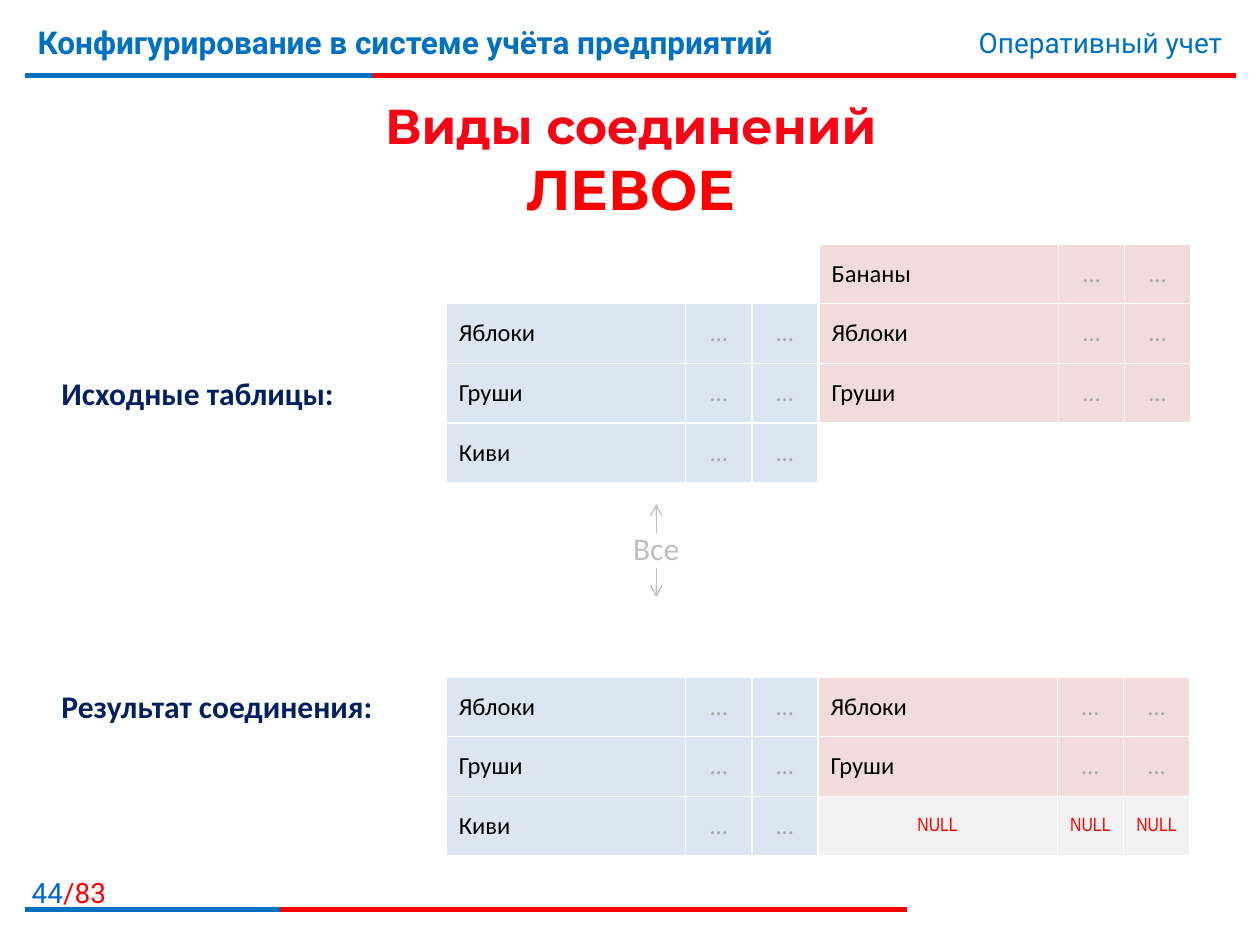
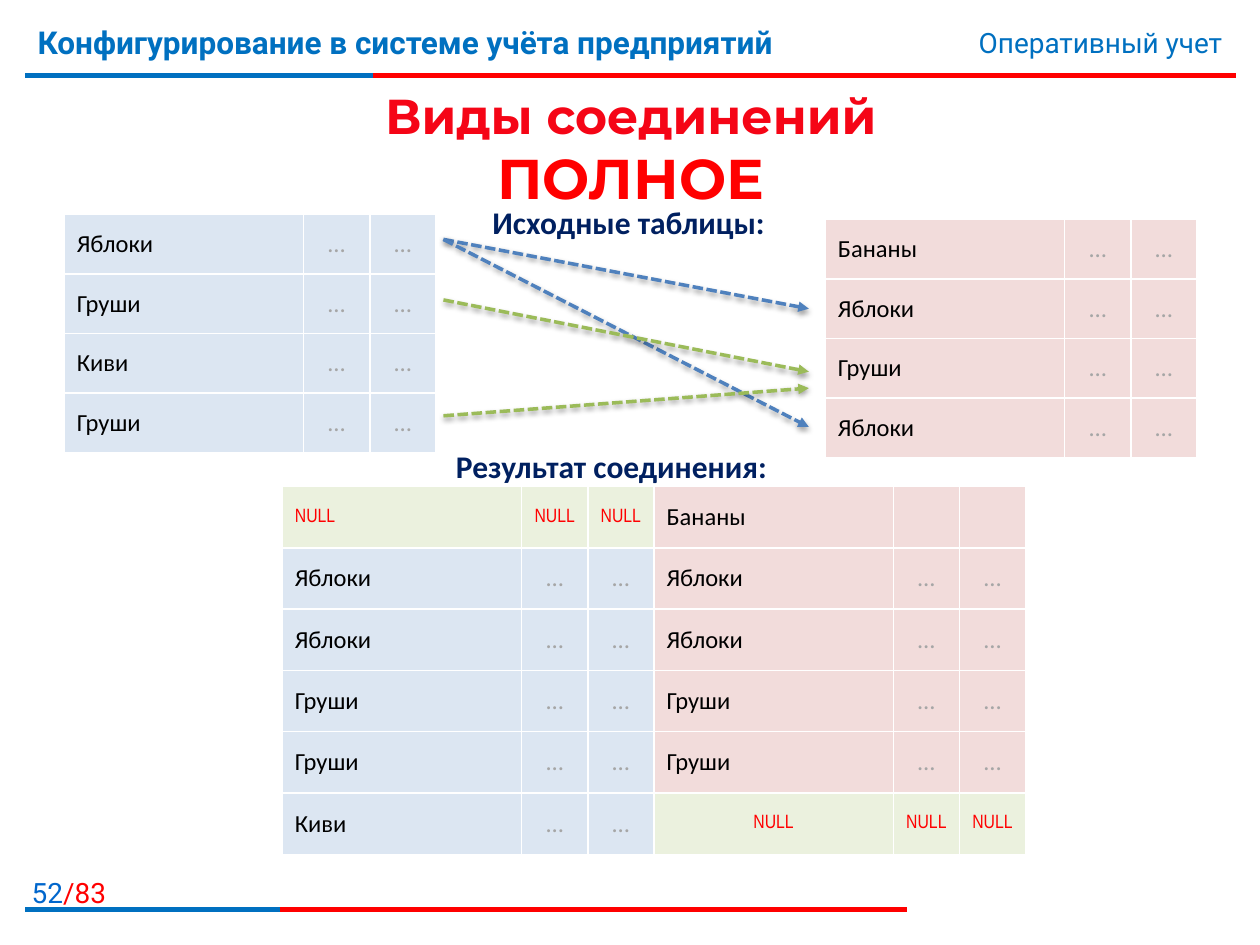
"""Build two slides on left and full table joins."""
from lxml.etree import SubElement
from pptx import Presentation
from pptx.dml.color import RGBColor
from pptx.enum.dml import MSO_LINE
from pptx.enum.shapes import MSO_CONNECTOR
from pptx.enum.text import MSO_ANCHOR, MSO_AUTO_SIZE, PP_ALIGN
from pptx.oxml import parse_xml
from pptx.oxml.ns import nsdecls, qn
from pptx.util import Pt

hue = RGBColor.from_string
LEFT, MID, RIGHT = PP_ALIGN.LEFT, PP_ALIGN.CENTER, PP_ALIGN.RIGHT
BLUE, RED, NAVY, GRAY = "0070C0", "FF0000", "002060", "BFBFBF"
SKY, ROSE, LIME, PALE = "DCE6F2", "F2DCDB", "EBF1DE", "F2F2F2"
EDGE = ('<a:{} {} w="12700"><a:solidFill><a:srgbClr val="FFFFFF"/>'
        '</a:solidFill></a:{}>')
SHADE = ('<a:outerShdw {} blurRad="40000" dist="20000" dir="5400000" rotWithShape="0">'
         '<a:srgbClr val="000000"><a:alpha val="38000"/></a:srgbClr></a:outerShdw>')


def label(slide, box, parts, size, font="Calibri", align=LEFT, bold=False, wrap=False):
    """Add a text box whose parts are (text, colour) pairs."""
    frame = slide.shapes.add_textbox(*map(Pt, box)).text_frame
    frame.word_wrap = wrap
    para = frame.paragraphs[0]
    para.alignment = align
    for text, color in parts:
        run = para.add_run()
        run.text = text
        run.font.name, run.font.size, run.font.bold = font, Pt(size), bold
        run.font.color.rgb = hue(color)


def line(slide, ends, color, width, head=None, dash=False):
    """Add a straight line; a dashed one casts a shadow."""
    link = slide.shapes.add_connector(MSO_CONNECTOR.STRAIGHT, *map(Pt, ends))
    link.line.color.rgb = hue(color)
    link.line.width = Pt(width)
    if dash:
        link.line.dash_style = MSO_LINE.SQUARE_DOT
    if head:
        SubElement(link.line._get_or_add_ln(), qn("a:tailEnd")).set("type", head)
    glow = SubElement(link._element.spPr, qn("a:effectLst"))
    if dash:
        glow.append(parse_xml(SHADE.format(nsdecls("a"))))


pages = [
    {"num": "44", "kind": "ЛЕВОЕ", "top": 45.4, "high": 90, "void": PALE,
     "grids": [
         (255, 173.5, 34.1, [SKY], ["Яблоки", "Груши", "Киви"]),
         (468, 139.5, 34.1, [ROSE], ["Бананы", "Яблоки", "Груши"]),
         (255, 352.8, 34.1, [SKY, ROSE],
          ["|", "Яблоки|Яблоки", "Груши|Груши", "Киви|NULL"])],
     "heads": [(28, 210.2), (28, 388.8)]},
    {"num": "52", "kind": "ПОЛНОЕ", "top": 43.2, "high": 82.8, "void": LIME,
     "grids": [
         (36.7, 122.4, 34.1, [SKY], ["Яблоки", "Груши", "Киви", "Груши"]),
         (471.6, 125.3, 34.1, [ROSE], ["Бананы", "Яблоки", "Груши", "Яблоки"]),
         (161.3, 278, 35.04, [SKY, ROSE],
          ["NULL|Бананы", "Яблоки|Яблоки", "Яблоки|Яблоки", "Груши|Груши",
           "Груши|Груши", "Киви|NULL"])],
     "heads": [(274.3, 112.3), (253.4, 252)]},
]

deck = Presentation()
deck.slide_width, deck.slide_height = Pt(720), Pt(540)
slides = []

for page in pages:
    slide = deck.slides.add_slide(deck.slide_layouts[5])
    slides.append(slide)

    for y, split, end in [(43.2, 213, 706.3), (519.8, 160, 518.4)]:
        line(slide, (14.4, y, end, y), RED, 3)
        line(slide, (14.4, y, split, y), BLUE, 3)
    label(slide, (-7.2, 496.8, 74.9, 23), [(page["num"], "0066CC"), ("/83", RED)],
          16, "Roboto", RIGHT, wrap=True)
    label(slide, (14.4, 9.4, 532.8, 44.6),
          [("Конфигурирование в системе учёта предприятий", BLUE)],
          18, "Roboto", bold=True, wrap=True)
    label(slide, (427.7, 10.8, 277.9, 26.6), [("Оперативный учет", BLUE)],
          16, "Roboto", RIGHT, wrap=True)

    title = slide.shapes.title
    title.left, title.top = Pt(14.4), Pt(page["top"])
    title.width, title.height = Pt(692), Pt(page["high"])
    frame = title.text_frame
    frame.text = "Виды соединений\n" + page["kind"]
    frame.auto_size = MSO_AUTO_SIZE.NONE
    frame.vertical_anchor = MSO_ANCHOR.MIDDLE
    for para, size in zip(frame.paragraphs, (28, 32)):
        para.alignment = MID
        font = para.runs[0].font
        font.name, font.size, font.bold = "Montserrat", Pt(size), True
        font.color.rgb = hue(RED)
    fill = frame.paragraphs[0].runs[0].font.fill
    fill.gradient()
    fill.gradient_angle = 270
    for stop, color, place in zip(fill.gradient_stops, ("F50516", "C00000"), (0.55, 0.86)):
        stop.color.rgb = hue(color)
        stop.position = place

    for left, top, high, tints, rows in page["grids"]:
        wide = [136.8, 37.8, 37.8] * len(tints)
        table = slide.shapes.add_table(
            len(rows), len(wide), Pt(left), Pt(top),
            Pt(sum(wide)), Pt(high * len(rows))).table
        table.first_row = table.horz_banding = False
        for col, width in zip(table.columns, wide):
            col.width = Pt(width)
        for r, row in enumerate(rows):
            table.rows[r].height = Pt(high)
            names = row.split("|")
            for c in range(len(wide)):
                name = names[c // 3]
                null = name == "NULL"
                bare = not name or row == "NULL|Бананы" and c > 3
                cell = table.cell(r, c)
                cell.vertical_anchor = MSO_ANCHOR.MIDDLE
                for side in ("lnL", "lnR", "lnT", "lnB"):
                    cell._tc.get_or_add_tcPr().append(
                        parse_xml(EDGE.format(side, nsdecls("a"), side)))
                if name:
                    cell.fill.solid()
                    cell.fill.fore_color.rgb = hue(page["void"] if null else tints[c // 3])
                else:
                    cell.fill.background()
                if bare:
                    continue
                first = c % 3 == 0
                cell.text = name if first or null else "…"
                para = cell.text_frame.paragraphs[0]
                para.alignment = LEFT if c == 0 or first and not null else MID
                font = para.runs[0].font
                font.name = "Arial Narrow" if null else "Calibri"
                font.size = Pt(11 if null else 14)
                font.color.rgb = hue(RED if null else "000000" if first else "A6A6A6")

    heads = [("Исходные таблицы:", 171.4), ("Результат соединения:", 193.7)]
    for (x, y), (text, width) in zip(page["heads"], heads):
        label(slide, (x, y, width, 28.8), [(text, NAVY)], 18, bold=True)

label(slides[0], (354.5, 298.8, 41, 28.8), [("Все", GRAY)], 18, align=MID)
for start, end in [(304.6, 288), (324.7, 341.3)]:
    line(slides[0], (375, start, 375, end), GRAY, 0.75, "arrow")

for start, end, color in [(136.8, 176.4, "4F81BD"), (136.8, 244, "4F81BD"),
                          (171.4, 212.4, "9BBB59"), (237.6, 221.8, "9BBB59")]:
    line(slides[1], (253.4, start, 462.2, end), color, 2, "triangle", True)

deck.save("out.pptx")
